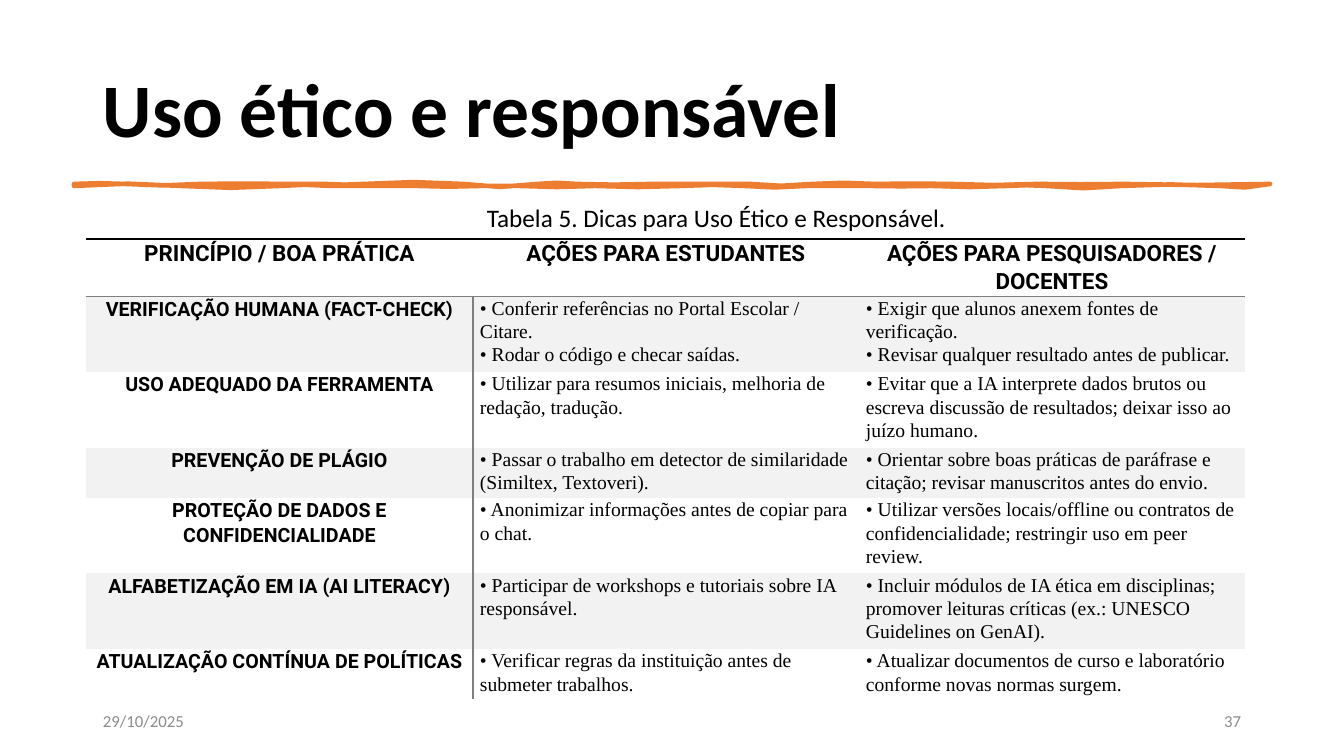
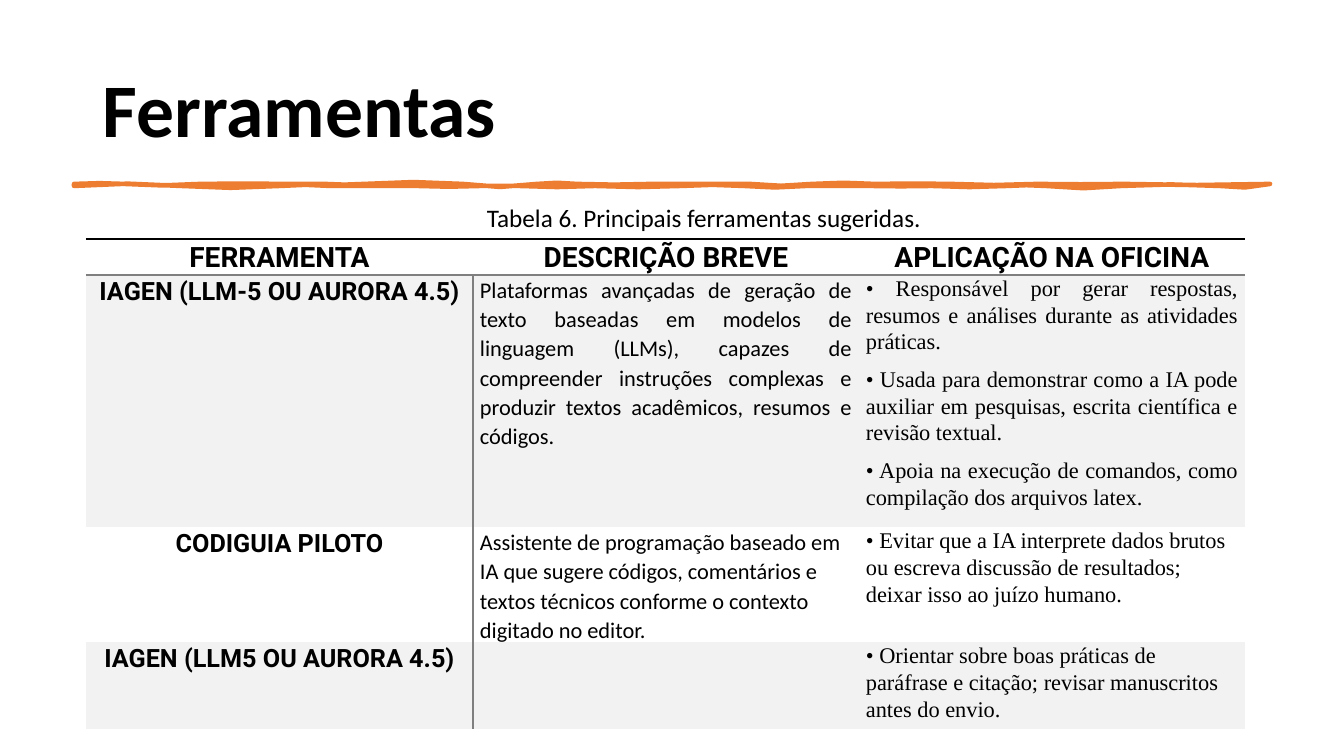
import dataclasses
import pptx
import pptx.util
import pptx.dml.color
import pptx.enum.text
import pptx.oxml
import pptx.oxml.ns

PX = 12192000 / 1344
ALIGN = pptx.enum.text.PP_ALIGN
MIDDLE = pptx.enum.text.MSO_ANCHOR.MIDDLE


@dataclasses.dataclass(frozen=True)
class Theme:
    ink: str = "000000"
    muted: str = "8C8C8C"
    accent: str = "ED7D31"
    rule: str = "7F7F7F"
    band: str = "F2F2F2"
    sans: str = "Calibri"
    label: str = "Roboto"
    serif: str = "Times New Roman"
    title: int = 54
    caption: int = 18
    foot: int = 12


THEME = Theme()

# Content: "\n" starts a paragraph, "\v" breaks a line
SLIDES = [
    {
        "title": "Uso ético e responsável",
        "caption": "Tabela 5. Dicas para Uso Ético e Responsável.",
        "foot": ("29/10/2025", "37"),
        "sizes": (16, 14, 14),  # header, row label, body
        "fonts": (THEME.label, THEME.serif, THEME.serif),
        "just": (),
        "heights": (56, 75, 75, 50, 75, 75, 50),
        "rows": [
            ("PRINCÍPIO / BOA PRÁTICA", "AÇÕES PARA ESTUDANTES",
             "AÇÕES PARA PESQUISADORES / DOCENTES"),
            ("VERIFICAÇÃO HUMANA (FACT-CHECK)",
             "• Conferir referências no Portal Escolar / Citare.\v"
             "• Rodar o código e checar saídas.",
             "• Exigir que alunos anexem fontes de verificação.\v"
             "• Revisar qualquer resultado antes de publicar."),
            ("USO ADEQUADO DA FERRAMENTA",
             "• Utilizar para resumos iniciais, melhoria de redação, tradução.",
             "• Evitar que a IA interprete dados brutos ou escreva discussão "
             "de resultados; deixar isso ao juízo humano."),
            ("PREVENÇÃO DE PLÁGIO",
             "• Passar o trabalho em detector de similaridade (Similtex, Textoveri).",
             "• Orientar sobre boas práticas de paráfrase e citação; revisar "
             "manuscritos antes do envio."),
            ("PROTEÇÃO DE DADOS E CONFIDENCIALIDADE",
             "• Anonimizar informações antes de copiar para o chat.",
             "• Utilizar versões locais/offline ou contratos de "
             "confidencialidade; restringir uso em peer review."),
            ("ALFABETIZAÇÃO EM IA (AI LITERACY)",
             "• Participar de workshops e tutoriais sobre IA responsável.",
             "• Incluir módulos de IA ética em disciplinas; promover leituras "
             "críticas (ex.: UNESCO Guidelines on GenAI)."),
            ("ATUALIZAÇÃO CONTÍNUA DE POLÍTICAS",
             "• Verificar regras da instituição antes de submeter trabalhos.",
             "• Atualizar documentos de curso e laboratório conforme novas "
             "normas surgem."),
        ],
    },
    {
        "title": "Ferramentas",
        "caption": "Tabela 6. Principais ferramentas sugeridas.",
        "foot": (),
        "sizes": (20, 18, 16),
        "fonts": (THEME.label, THEME.sans, THEME.serif),
        "just": (1,),
        "heights": (35, 252, 115, 87),
        "rows": [
            ("FERRAMENTA", "DESCRIÇÃO BREVE", "APLICAÇÃO NA OFICINA"),
            ("IAGEN (LLM-5 OU AURORA 4.5)",
             "Plataformas avançadas de geração de texto baseadas em modelos de "
             "linguagem (LLMs), capazes de compreender instruções complexas e "
             "produzir textos acadêmicos, resumos e códigos.",
             "• Responsável por gerar respostas, resumos e análises durante as "
             "atividades práticas.\n"
             "• Usada para demonstrar como a IA pode auxiliar em pesquisas, "
             "escrita científica e revisão textual.\n"
             "• Apoia na execução de comandos, como compilação dos arquivos latex."),
            ("CODIGUIA PILOTO",
             "Assistente de programação baseado em IA que sugere códigos, "
             "comentários e textos técnicos conforme o contexto digitado no editor.",
             "• Evitar que a IA interprete dados brutos ou escreva discussão "
             "de resultados; deixar isso ao juízo humano."),
            ("IAGEN (LLM5 OU AURORA 4.5)",
             "",
             "• Orientar sobre boas práticas de paráfrase e citação; revisar "
             "manuscritos antes do envio."),
        ],
    },
]

# Brush rule: (end x, bend of first control, bend of second control)
START, TOP, BASE = 74, 184, 186
UPPER = [(125, -2, 0), (200, 1, 3), (286, -2, 1), (325, 0, 0), (364, 1, 1),
         (463, -1, -4), (537, 5, 3), (577, -2, -1), (651, 2, 0), (750, 1, -1),
         (812, 2, 3), (875, -2, -1), (951, 2, -3), (1037, 4, -1),
         (1124, 2, -1), (1270, 2, 1)]
LOWER = [(1220, 2, 2), (1121, -1, -3), (1046, 4, 2), (1007, -1, -1),
         (932, 2, 1), (870, 0, 1), (806, 0, 0), (744, 1, 3), (681, -2, -1),
         (595, 2, 1), (519, 0, 3), (481, -2, 2), (417, -1, 3), (331, -2, 2),
         (280, -2, -1), (181, 2, 3), (74, -3, -3)]


def emu(px):
    return pptx.util.Emu(round(px * PX))


def rgb(code):
    return pptx.dml.color.RGBColor.from_string(code)


def style(para, size, face, color=THEME.ink, bold=False, align=ALIGN.LEFT):
    para.alignment = align
    font = para.font
    font.size, font.name, font.bold = pptx.util.Pt(size), face, bold
    font.color.rgb = rgb(color)


def label(slide, box, text, size, color=THEME.ink, bold=False,
          align=ALIGN.LEFT, anchor=MIDDLE):
    frame = slide.shapes.add_textbox(*map(emu, box)).text_frame
    frame.word_wrap = True
    frame.vertical_anchor = anchor
    frame.text = text
    para = frame.paragraphs[0]
    style(para, size, THEME.sans, color, bold, align)
    return para


def edge(start, y, bends):
    """The middle and end point of each flat curve along the line at y."""
    for end, one, two in bends:
        yield emu((start + end) / 2), emu(y + 3 * (one + two) / 8)
        yield emu(end), emu(y)
        start = end


def brush(slide):
    pen = slide.shapes.build_freeform(emu(START), emu(TOP))
    pen.add_line_segments(edge(START, TOP, UPPER), close=False)
    pen.add_line_segments(edge(UPPER[-1][0], BASE, LOWER), close=True)
    shape = pen.convert_to_shape()
    shape.shadow.inherit = False
    shape.fill.solid()
    shape.fill.fore_color.rgb = rgb(THEME.accent)
    shape.line.color.rgb = rgb(THEME.accent)
    shape.line.width = pptx.util.Pt(3.25)


def border(cell, lines):
    """Draw the sides named in lines; clear the others."""
    props = cell._tc.get_or_add_tcPr()
    space = pptx.oxml.ns.nsdecls("a")
    for side in "LRTB":
        color = lines.get(side)
        paint = (f'<a:solidFill><a:srgbClr val="{color}"/></a:solidFill>'
                 if color else "<a:noFill/>")
        props.append(pptx.oxml.parse_xml(
            f'<a:ln{side} {space} w="12700">{paint}</a:ln{side}>'))


def sides(row, col):
    if row == 0:
        return {"T": THEME.ink, "B": THEME.rule}
    lines = {"T": THEME.rule} if row == 1 else {}
    if col < 2:
        lines["R" if col == 0 else "L"] = THEME.rule
    return lines


def grid(slide, page):
    rows, tall = page["rows"], page["heights"]
    table = slide.shapes.add_table(
        len(rows), 3, *map(emu, (86, 239, 1159, sum(tall)))).table
    table.first_row = table.horz_banding = False
    for column, wide in zip(table.columns, (387, 386, 386)):
        column.width = emu(wide)
    for r, texts in enumerate(rows):
        table.rows[r].height = emu(tall[r])
        for c, text in enumerate(texts):
            cell = table.cell(r, c)
            cell.margin_left = cell.margin_right = emu(7)
            cell.margin_top = cell.margin_bottom = 0
            border(cell, sides(r, c))
            if r % 2:
                cell.fill.solid()
                cell.fill.fore_color.rgb = rgb(THEME.band)
            else:
                cell.fill.background()
            # Header and first column are bold labels
            head = r == 0 or c == 0
            size = page["sizes"][0 if r == 0 else 1 if c == 0 else 2]
            face = THEME.label if head else page["fonts"][c]
            align = (ALIGN.CENTER if head else
                     ALIGN.JUSTIFY if r in page["just"] else ALIGN.LEFT)
            cell.text_frame.text = text
            for para in cell.text_frame.paragraphs:
                style(para, size, face, bold=head, align=align)
                para.line_spacing = 1.07
                para.space_after = pptx.util.Pt(8)


def build(deck, page):
    slide = deck.slides.add_slide(deck.slide_layouts[6])
    title = label(slide, (93, 40, 1184, 146), page["title"], THEME.title,
                  bold=True)
    title.line_spacing = 0.9
    brush(slide)
    spots = ((93, ALIGN.LEFT), (949, ALIGN.RIGHT))
    for (x, align), text in zip(spots, page["foot"]):
        label(slide, (x, 701, 302, 40), text, THEME.foot, THEME.muted,
              align=align)
    label(slide, (477, 197, 768, 40), page["caption"], THEME.caption,
          anchor=pptx.enum.text.MSO_ANCHOR.TOP)
    grid(slide, page)


def main():
    deck = pptx.Presentation()
    deck.slide_width, deck.slide_height = emu(1344), emu(756)
    for page in SLIDES:
        build(deck, page)
    deck.save("out.pptx")


if __name__ == "__main__":
    main()
